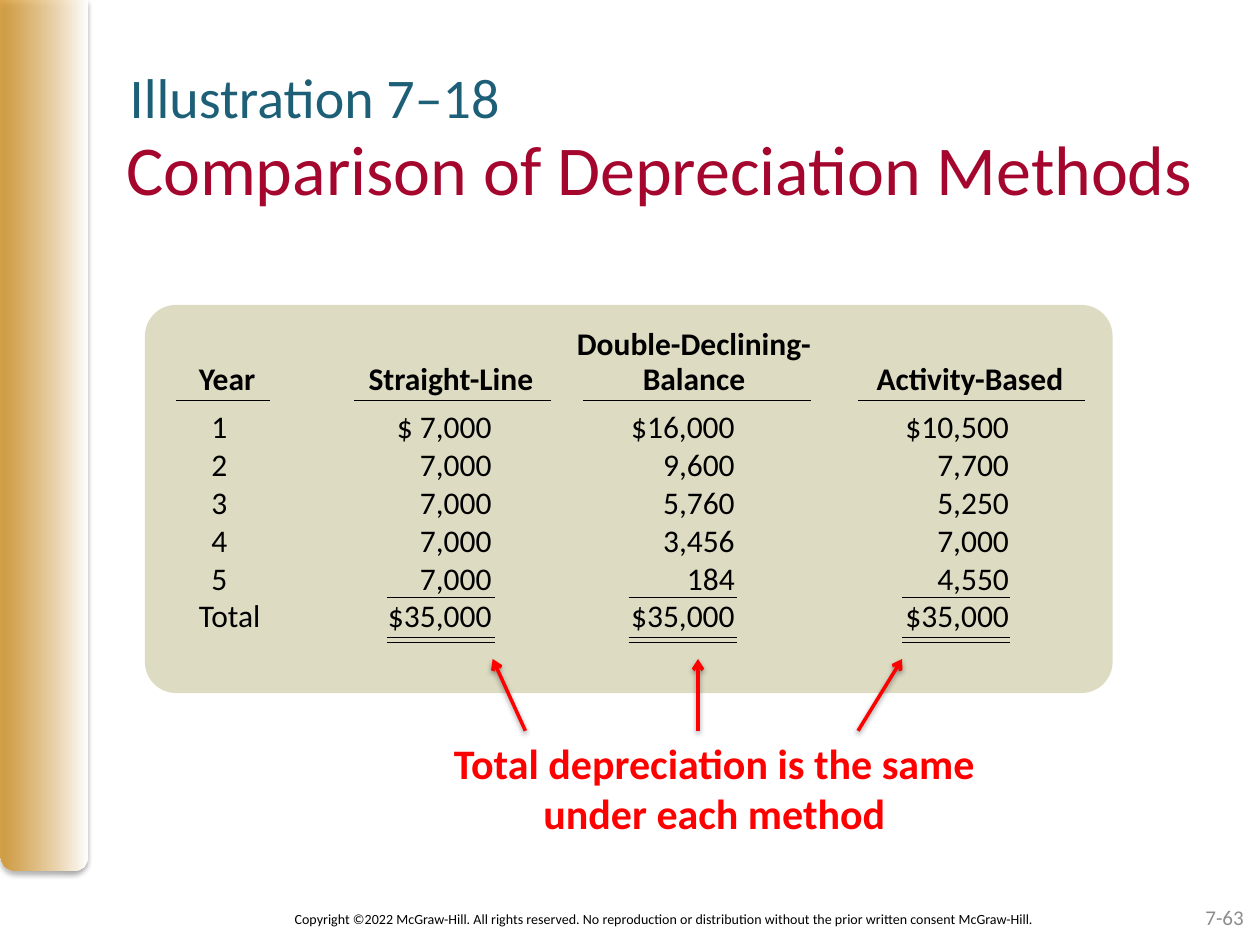
from lxml.etree import SubElement
from pptx import Presentation
from pptx.dml.color import RGBColor
from pptx.enum.shapes import MSO_CONNECTOR, MSO_SHAPE
from pptx.enum.text import MSO_ANCHOR, MSO_AUTO_SIZE, PP_ALIGN
from pptx.oxml.ns import qn
from pptx.util import Inches, Pt

BLACK, RED = "000000", "FF0000"
HEAD_TABS = [(0.19, "ctr"), (2, "ctr"), (3.93, "ctr"), (6.12, "ctr")]
ROW_TABS = [(0.19, "ctr"), (2.38, "r"), (4.31, "r"), (6.43, "r")]
ROWS = [
    ("\t1", "$ 7,000", "$16,000", "$10,500"),
    ("\t2", "7,000", "9,600", "7,700"),
    ("\t3", "7,000", "5,760", "5,250"),
    ("\t4", "7,000", "3,456", "7,000"),
    ("\t5", "7,000", "184", "4,550"),
    ("Total", "$35,000", "$35,000", "$35,000"),
]


def rgb(color):
    return RGBColor.from_string(color)


def sub(parent, tag, **attrs):
    return SubElement(parent, qn(tag), {k: str(v) for k, v in attrs.items()})


def set_alpha(color_element, percent):
    sub(color_element, "a:alpha", val=percent * 1000)


def add_effects(shape, shadow=None):
    """Give the shape its own effect list: empty, or a downward (blur, distance, alpha) shadow."""
    effects = sub(shape._element.spPr, "a:effectLst")
    if shadow:
        blur, dist, alpha = shadow
        outer = sub(effects, "a:outerShdw", blurRad=Pt(blur), dist=Pt(dist),
                    dir=5400000, rotWithShape=0)
        set_alpha(sub(outer, "a:srgbClr", val=BLACK), alpha)


def write(p, text, size, color, bold=False):
    r = p.add_run()
    r.text = text
    for name, value in dict(name="Calibri", size=Pt(size), bold=bold).items():
        setattr(r.font, name, value)
    r.font.color.rgb = rgb(color)


def set_frame(tf, margin=None, **formats):
    formats = dict(word_wrap=True, auto_size=MSO_AUTO_SIZE.NONE,
                   vertical_anchor=MSO_ANCHOR.TOP) | formats
    if margin is not None:
        formats |= {f"margin_{side}": margin for side in ("left", "top", "right", "bottom")}
    for name, value in formats.items():
        setattr(tf, name, value)


def add_text(s, box, lines, size, color, align=PP_ALIGN.LEFT, bold=False, **frame):
    tf = s.shapes.add_textbox(*map(Inches, box)).text_frame
    set_frame(tf, **frame)
    for i, line in enumerate(lines):
        p = tf.add_paragraph() if i else tf.paragraphs[0]
        p.alignment = align
        write(p, line, size, color, bold)
    return tf


def add_line(s, start, end, color=BLACK, width=0.75, shadow=None, arrow=False):
    line = s.shapes.add_connector(MSO_CONNECTOR.STRAIGHT, *map(Inches, (*start, *end)))
    line.line.color.rgb = rgb(color)
    line.line.width = Pt(width)
    if arrow:
        sub(line.line._get_or_add_ln(), "a:tailEnd", type="arrow")
    add_effects(line, shadow)


def add_side_band(s, box):
    band = s.shapes.add_shape(MSO_SHAPE.ROUND_2_SAME_RECTANGLE, *map(Inches, box))
    band.adjustments[0], band.adjustments[1] = 0, 0.17
    band.fill.gradient()
    band.fill.gradient_angle = 0
    for stop, color in zip(band.fill.gradient_stops, ("D49323", "FFFFFF")):
        stop.color.rgb = rgb(color)
    set_alpha(next(band._element.spPr.iter(qn("a:srgbClr"))), 80)
    band.line.fill.background()
    add_effects(band, (3.1, 1.8, 35))


def add_footer(s, box):
    x, y, w, h = box
    add_text(s, (x, y + 0.1, 7.63, 0.24),
             ["Copyright ©2022 McGraw-Hill. All rights reserved. No reproduction or "
              "distribution without the prior written consent McGraw-Hill."],
             8, BLACK, PP_ALIGN.CENTER)
    add_text(s, (x + w - 2.33, y, 2.33, h), ["7-63"], 12, "8C8C8C", PP_ALIGN.RIGHT,
             vertical_anchor=MSO_ANCHOR.MIDDLE)


def add_headings(s, box):
    x, y, w, h = box
    title = s.shapes.title
    title.left, title.top, title.width, title.height = map(Inches, (x, y + 0.5, w, h - 0.5))
    set_frame(title.text_frame, margin=0)
    p = title.text_frame.paragraphs[0]
    p.alignment = PP_ALIGN.LEFT
    write(p, "Comparison of Depreciation Methods", 40, "A5062D")
    add_text(s, (x + 0.03, y, 5.76, 0.46), ["Illustration 7–18"], 32, "1D5F76", margin=0)


def add_schedule(s, box):
    """Depreciation by year, on a rounded panel, with rules under headings and totals."""
    x, y, w, h = box
    panel = s.shapes.add_shape(MSO_SHAPE.ROUNDED_RECTANGLE, *map(Inches, box))
    panel.adjustments[0] = 0.08
    panel.shadow.inherit = False
    panel.fill.solid()
    panel.fill.fore_color.rgb = rgb("D4D0B0")
    set_alpha(panel._element.spPr.find(".//" + qn("a:srgbClr")), 75)
    panel.line.fill.background()

    heads = ["\t\t\tDouble-Declining-", "Year\tStraight-Line\tBalance\tActivity-Based"]
    lines = heads + [" \t".join(row) for row in ROWS]
    tf = add_text(s, (x + 0.33, y + 0.14, 7.12, 2.52), lines, 18, BLACK)
    for i, p in enumerate(tf.paragraphs):
        is_head = i < len(heads)
        tabs = sub(p._p.get_or_add_pPr(), "a:tabLst")
        for pos, algn in HEAD_TABS if is_head else ROW_TABS:
            sub(tabs, "a:tab", pos=Inches(pos), algn=algn)
        if is_head:
            p.line_spacing = 0.9
            p.runs[0].font.bold = True
    tf.paragraphs[len(heads) - 1].space_after = Pt(6)

    for left, right in ((0.25, 0.99), (1.66, 3.22), (3.48, 5.29), (5.66, 7.46)):
        add_line(s, (x + left, y + 0.76), (x + right, y + 0.76))
    for left in (1.92, 3.84, 6.01):
        for top in (2.32, 2.64, 2.68):
            add_line(s, (x + left, y + top), (x + left + 0.86, y + top))


def add_conclusion(s, box):
    x, y, w, h = box
    add_text(s, box, ["Total depreciation is the same", "under each method"],
             24, RED, PP_ALIGN.CENTER, bold=True, word_wrap=False)
    for start, end in ((0.77, 0.51), (2.14, 2.14), (3.41, 3.76)):
        add_line(s, (x + start, y), (x + end, y - 0.57), RED, 2, (3.1, 1.6, 38), arrow=True)


def main():
    prs = Presentation()
    prs.slide_width, prs.slide_height = Inches(10), Inches(7.5)
    s = prs.slides.add_slide(prs.slide_layouts[5])
    add_side_band(s, (0, 0, 0.69, 6.91))
    add_footer(s, (1.46, 7.08, 8.51, 0.4))
    add_headings(s, (1, 0.5, 9, 2.03))
    add_schedule(s, (1.15, 2.42, 7.68, 3.08))
    add_conclusion(s, (3.4, 5.8, 4.54, 0.91))
    prs.save("out.pptx")


if __name__ == "__main__":
    main()
